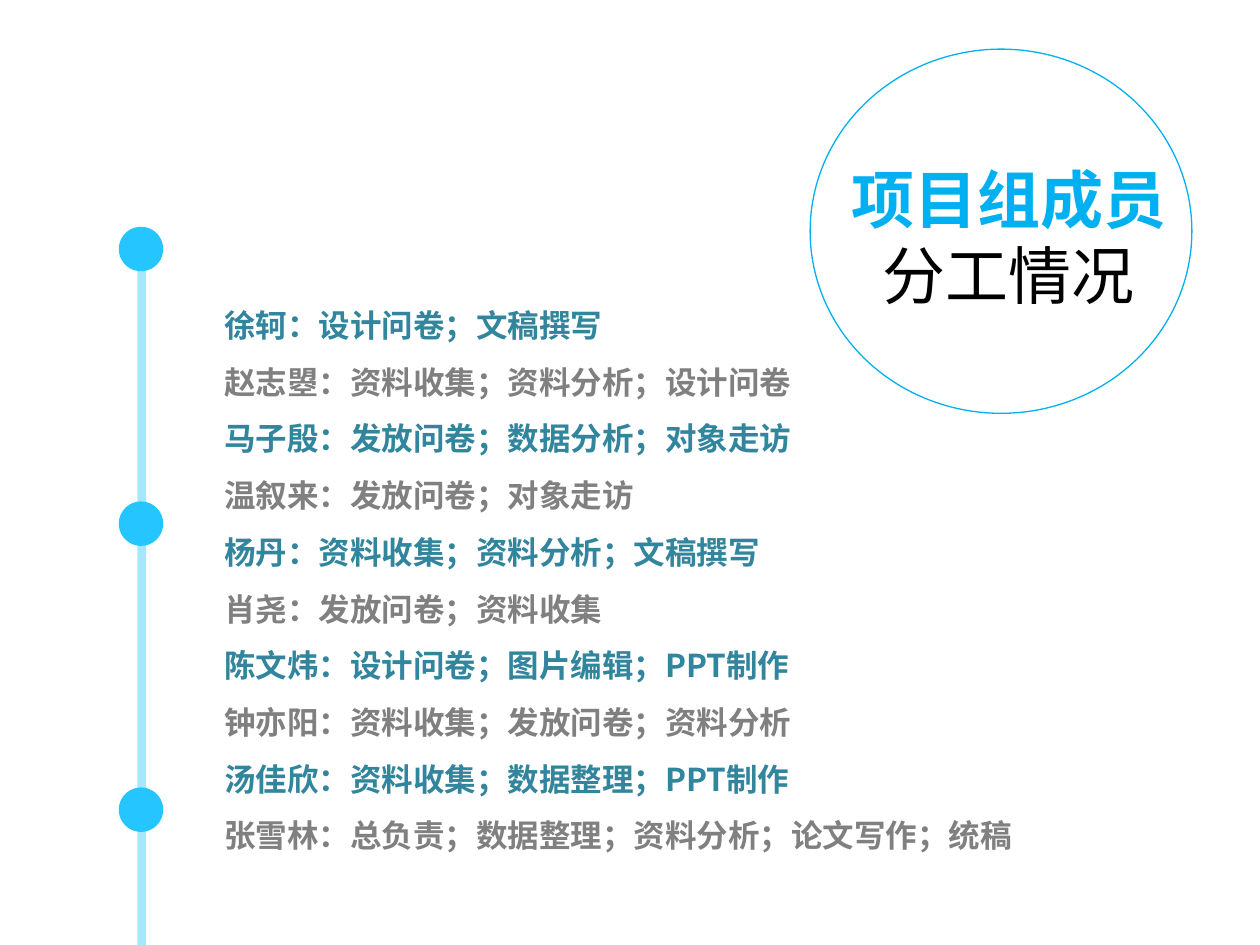
"""Build the slide on who does what in the project team."""
from lxml.etree import SubElement as Sub
from pptx import Presentation as Deck
from pptx.dml.color import RGBColor as Color
from pptx.enum.shapes import MSO_SHAPE as Kind
from pptx.enum.text import MSO_ANCHOR as Anchor, PP_ALIGN as Align
from pptx.oxml.ns import qn
from pptx.util import Pt

FONT = "Noto Sans CJK SC"
SKY = Color(0x25, 0xC6, 0xFF)
BLUE = Color(0x00, 0xB0, 0xF0)
TEAL = Color(0x31, 0x85, 0x9C)
GRAY = Color(0x80, 0x80, 0x80)
BLACK = Color(0, 0, 0)

TASKS = (
    "徐轲：设计问卷；文稿撰写",
    "赵志曌：资料收集；资料分析；设计问卷",
    "马子殷：发放问卷；数据分析；对象走访",
    "温叙来：发放问卷；对象走访",
    "杨丹：资料收集；资料分析；文稿撰写",
    "肖尧：发放问卷；资料收集",
    "陈文炜：设计问卷；图片编辑；PPT制作",
    "钟亦阳：资料收集；发放问卷；资料分析",
    "汤佳欣：资料收集；数据整理；PPT制作",
    "张雪林：总负责；数据整理；资料分析；论文写作；统稿",
)
TITLE = (("项目组成员", BLUE, True), ("分工情况", BLACK, False))
DOTS = (129.6, 286.56, 450)


def put(item, form):
    for name, value in form.items():
        setattr(item, name, value)


def add_text(slide, box, lines, size, frame_form, para_form):
    frame = slide.shapes.add_textbox(*map(Pt, box)).text_frame
    put(frame, {"word_wrap": True, **frame_form})
    for i, (words, color, bold) in enumerate(lines):
        para = frame.add_paragraph() if i else frame.paragraphs[0]
        put(para, para_form)
        run = para.add_run()
        run.text = words
        put(run.font, {"name": FONT, "size": Pt(size), "bold": bold})
        run.font.color.rgb = color
        Sub(run.font._element, qn("a:ea"), typeface=FONT)


def add_shape(slide, kind, box, fill=None, line=None, alpha=None):
    shape = slide.shapes.add_shape(kind, *map(Pt, box))
    shape.shadow.inherit = False
    for part, color in ((shape.fill, fill), (shape.line.fill, line)):
        if color is None:
            part.background()
        else:
            part.solid()
            part.fore_color.rgb = color
    if line is not None:
        shape.line.width = Pt(0.75)
    if alpha:
        tone = shape._element.spPr.find(qn("a:solidFill"))[0]
        Sub(tone, qn("a:alpha"), val=str(alpha * 1000))


def main():
    deck = Deck()
    put(deck, {"slide_width": Pt(720), "slide_height": Pt(540)})
    slide = deck.slides.add_slide(deck.slide_layouts[6])
    rows = [(task, GRAY if i % 2 else TEAL, True)
            for i, task in enumerate(TASKS)]
    add_text(slide, (120.96, 160.56, 537.12, 334.08), rows, 18,
             {}, {"line_spacing": 1.5})
    add_shape(slide, Kind.RECTANGLE, (78.48, 146.16, 5.04, 393.84), SKY,
              alpha=41)
    for top in DOTS:
        add_shape(slide, Kind.OVAL, (67.9, top, 25.4, 25.4), SKY)
    add_text(slide, (444.24, 90, 264.24, 90), TITLE, 36,
             {"vertical_anchor": Anchor.MIDDLE}, {"alignment": Align.CENTER})
    add_shape(slide, Kind.OVAL, (462.96, 28.08, 218.16, 208.08), line=BLUE)
    deck.save("out.pptx")


if __name__ == "__main__":
    main()
